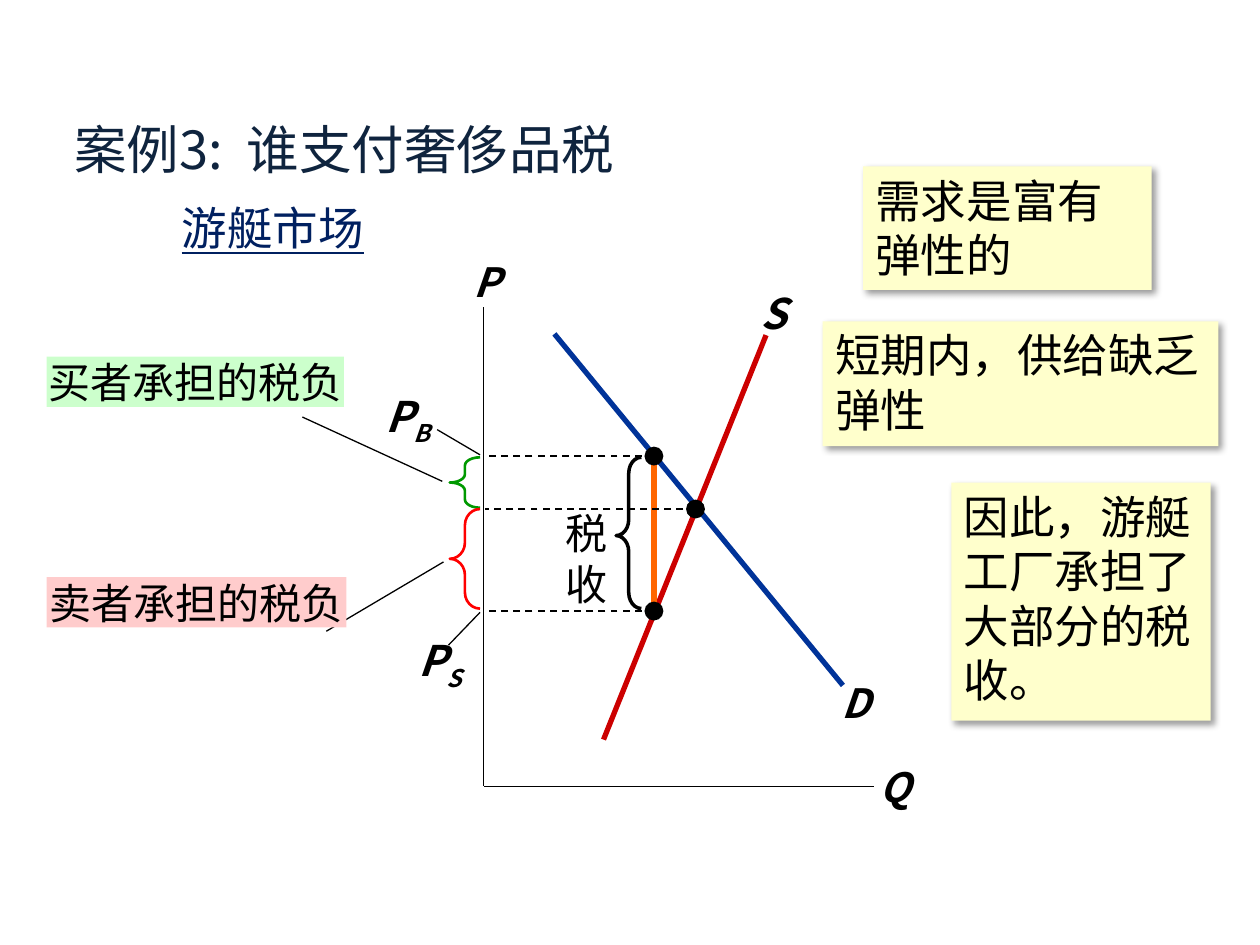
from dataclasses import dataclass

from lxml.etree import SubElement
from pptx import Presentation
from pptx.dml.color import RGBColor
from pptx.enum.dml import MSO_LINE
from pptx.enum.shapes import MSO_CONNECTOR as Connector, MSO_SHAPE as Shape
from pptx.enum.text import MSO_ANCHOR as Anchor, MSO_AUTO_SIZE as AutoSize, PP_ALIGN as Align
from pptx.oxml.ns import qn
from pptx.util import Inches, Pt

FONT = "Noto Sans CJK SC"
BLACK = "000000"
AXIS_X, AXIS_Y = 3.84, 6.24
DOT = 0.15


@dataclass
class Line:
    start: tuple[float, float]
    end: tuple[float, float]
    color: str = BLACK
    width: float = 0.75
    dashed: bool = False


@dataclass
class Brace:
    place: tuple[float, float, float, float]
    color: str
    width: float
    curl: float
    tip: float = 0.5


@dataclass
class Label:
    text: str
    place: tuple[float, float, float, float]
    size: float = 24
    align: Align = Align.CENTER
    subscript: str = ""
    symbol: bool = True


@dataclass
class Panel:
    text: str
    place: tuple[float, float, float, float]
    fill: str


LINES = [
    Line((AXIS_X, 2.44), (AXIS_X, AXIS_Y)),
    Line((AXIS_X, AXIS_Y), (6.94, AXIS_Y)),
    Line((4.4, 2.65), (6.69, 5.44), "003399", 3),  # demand
    Line((4.79, 5.87), (6.08, 2.66), "CC0000", 3),  # supply
    Line((5.19, 4.84), (5.19, 3.63), "FF6600", 3),  # tax wedge
    Line((2.4, 3.31), (3.51, 3.82)),
    Line((3.52, 4.46), (2.59, 5.01)),
    Line((3.81, 3.61), (3.47, 3.41)),
    Line((3.81, 4.86), (3.56, 5.12)),
]
BRACES = [
    Brace((4.89, 3.63, 0.2, 1.2), BLACK, 2, 0.637, 0.518),
    Brace((3.57, 3.63, 0.24, 0.4), "009900", 1.5, 0.271),
    Brace((3.57, 4.04, 0.24, 0.79), "FF0000", 1.5, 0.531),
]
LABELS = [
    Label("P", (3.66, 1.99, 0.4, 0.48), 23),
    Label("Q", (6.88, 6, 0.4, 0.48), 23),
    Label("D", (6.58, 5.33, 0.4, 0.48), 23),
    Label("S", (5.94, 2.23, 0.4, 0.5)),
    Label("P", (2.81, 3.05, 0.7, 0.5), align=Align.RIGHT, subscript="B"),
    Label("P", (3.15, 4.99, 0.61, 0.5), align=Align.RIGHT, subscript="S"),
    Label("税收", (4.15, 3.98, 0.77, 0.91), align=Align.RIGHT, symbol=False),
]
BURDENS = [
    Panel("买者承担的税负", (0.37, 2.83, 2.36, 0.4), "CCFFCC"),
    Panel("卖者承担的税负", (0.37, 4.58, 2.38, 0.4), "FFCCCC"),
]
NOTES = [
    Panel("需求是富有弹性的", (6.85, 1.32, 2.29, 0.98), "FFFFCC"),
    Panel("短期内，供给缺乏弹性", (6.53, 2.55, 3.14, 0.99), "FFFFCC"),
    Panel("因此，游艇工厂承担了大部分的税收。", (7.55, 3.83, 2.06, 1.89), "FFFFCC"),
]
PRICE_POINTS = [(5.19, 3.62), (5.52, 4.04), (5.19, 4.85)]


def rgb(color: str) -> RGBColor:
    return RGBColor.from_string(color)


def inches(place: tuple[float, ...]) -> list[Inches]:
    return [Inches(value) for value in place]


def style_text(box, size: float, color: str = BLACK, align: Align = Align.LEFT) -> None:
    box.text_frame.word_wrap = True
    for para in box.text_frame.paragraphs:
        para.alignment = align
        for span in para.runs:
            span.font.size = Pt(size)
            span.font.name = FONT
            span.font.color.rgb = rgb(color)
            SubElement(span.font._element, qn("a:ea"), typeface=FONT)


def fill_placeholder(box, text: str, place, size: float, color: str, align: Align, anchor: Anchor) -> None:
    box.left, box.top, box.width, box.height = inches(place)
    frame = box.text_frame
    frame.text = text
    frame.auto_size = AutoSize.NONE
    frame.vertical_anchor = anchor
    para = frame.paragraphs[0]
    properties = para._p.get_or_add_pPr()
    properties.set("marL", "0")
    properties.set("indent", "0")
    SubElement(properties, qn("a:buNone"))
    para.space_before = Pt(0)
    style_text(box, size, color, align)


def draw_line(page, line: Line) -> None:
    connector = page.shapes.add_connector(Connector.STRAIGHT, *inches(line.start + line.end))
    connector.line.color.rgb = rgb(line.color)
    connector.line.width = Pt(line.width)
    if line.dashed:
        connector.line.dash_style = MSO_LINE.DASH
    SubElement(connector._element.spPr, qn("a:effectLst"))


def draw_brace(page, brace: Brace) -> None:
    shape = page.shapes.add_shape(Shape.LEFT_BRACE, *inches(brace.place))
    shape.shadow.inherit = False
    shape.adjustments[0] = brace.curl
    shape.adjustments[1] = brace.tip
    shape.fill.background()
    shape.line.color.rgb = rgb(brace.color)
    shape.line.width = Pt(brace.width)


def draw_filled(page, kind: Shape, place, fill: str):
    shape = page.shapes.add_shape(kind, *inches(place))
    shape.shadow.inherit = False
    shape.fill.solid()
    shape.fill.fore_color.rgb = rgb(fill)
    shape.line.fill.background()
    return shape


def draw_price_point(page, x: float, y: float) -> None:
    """Mark a point on the curves and its dashed line to the price axis."""
    draw_line(page, Line((x, y), (3.85, y), width=1, dashed=True))
    draw_filled(page, Shape.OVAL, (x - DOT / 2, y - DOT / 2, DOT, DOT), BLACK)


def draw_label(page, label: Label) -> None:
    box = page.shapes.add_textbox(*inches(label.place))
    box.text_frame.text = label.text
    para = box.text_frame.paragraphs[0]
    if label.subscript:
        para.add_run().text = label.subscript
    style_text(box, label.size, align=label.align)
    for span in para.runs:
        span.font.bold = span.font.italic = label.symbol
    if label.subscript:
        para.runs[1].font._element.set("baseline", "-25000")
    box.text_frame.auto_size = AutoSize.SHAPE_TO_FIT_TEXT


def draw_burden(page, panel: Panel) -> None:
    shape = draw_filled(page, Shape.RECTANGLE, panel.place, panel.fill)
    frame = shape.text_frame
    frame.text = panel.text
    frame.margin_left = frame.margin_right = frame.margin_top = frame.margin_bottom = 0
    frame.vertical_anchor = Anchor.TOP
    style_text(shape, 24, align=Align.CENTER)
    frame.auto_size = AutoSize.SHAPE_TO_FIT_TEXT


def draw_note(page, panel: Panel) -> None:
    shape = draw_filled(page, Shape.RECTANGLE, panel.place, panel.fill)
    shape.text_frame.text = panel.text
    shape.text_frame.vertical_anchor = Anchor.TOP
    style_text(shape, 26)
    effects = shape._element.spPr.find(qn("a:effectLst"))
    shadow = SubElement(effects, qn("a:outerShdw"), blurRad=str(Pt(4)), dist=str(Pt(3)),
                        dir="2700000", algn="tl", rotWithShape="0")
    SubElement(SubElement(shadow, qn("a:srgbClr"), val=BLACK), qn("a:alpha"), val="40000")


def main() -> None:
    deck = Presentation()
    deck.slide_width, deck.slide_height = Inches(10), Inches(7.5)
    page = deck.slides.add_slide(deck.slide_layouts[1])
    body = page.placeholders[1]
    fill_placeholder(page.shapes.title, "案例3:  谁支付奢侈品税", (0.49, 0.91, 5.85, 0.53),
                     30, "0F243E", Align.LEFT, Anchor.MIDDLE)
    fill_placeholder(body, "游艇市场", (1.02, 1.54, 2.29, 0.63), 26, "002060", Align.CENTER, Anchor.TOP)
    body.text_frame.paragraphs[0].runs[0].font.underline = True

    for draw, items in ((draw_line, LINES), (draw_brace, BRACES), (draw_label, LABELS),
                        (draw_burden, BURDENS), (draw_note, NOTES)):
        for item in items:
            draw(page, item)
    for x, y in PRICE_POINTS:
        draw_price_point(page, x, y)
    deck.save("out.pptx")


if __name__ == "__main__":
    main()
